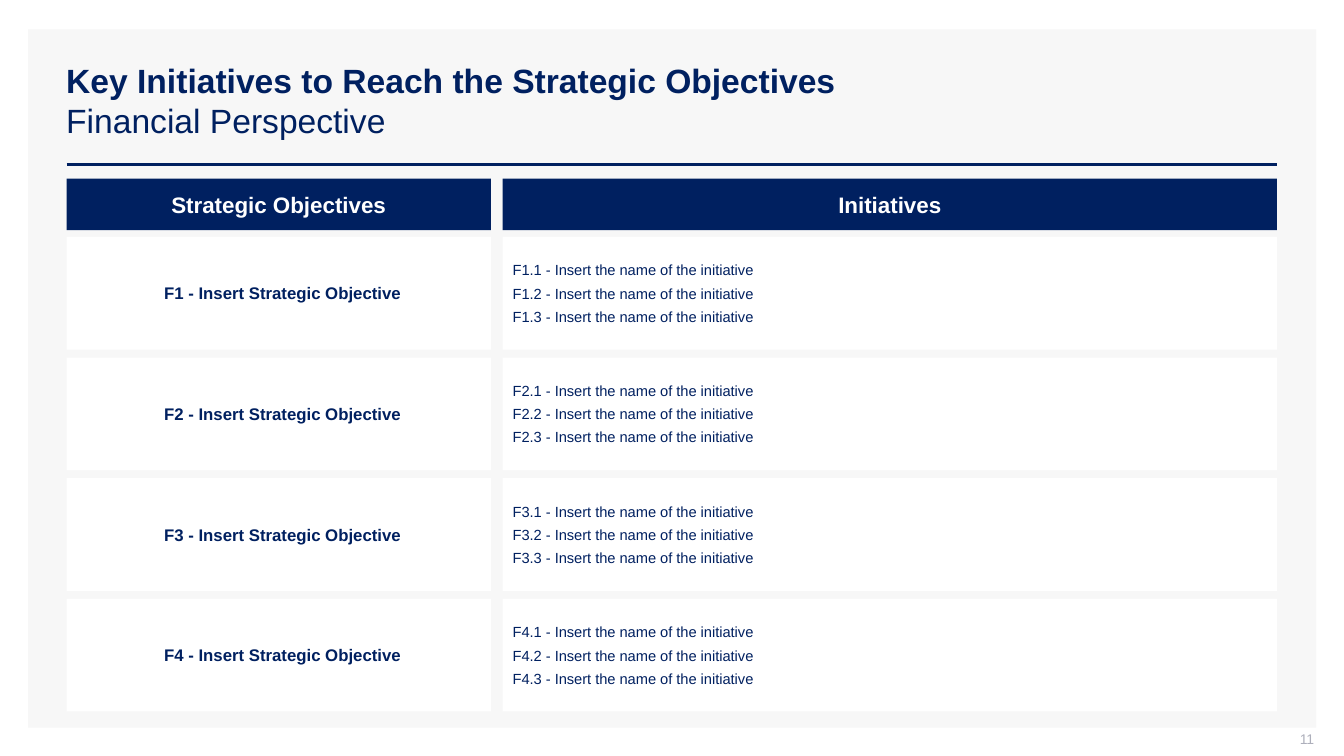
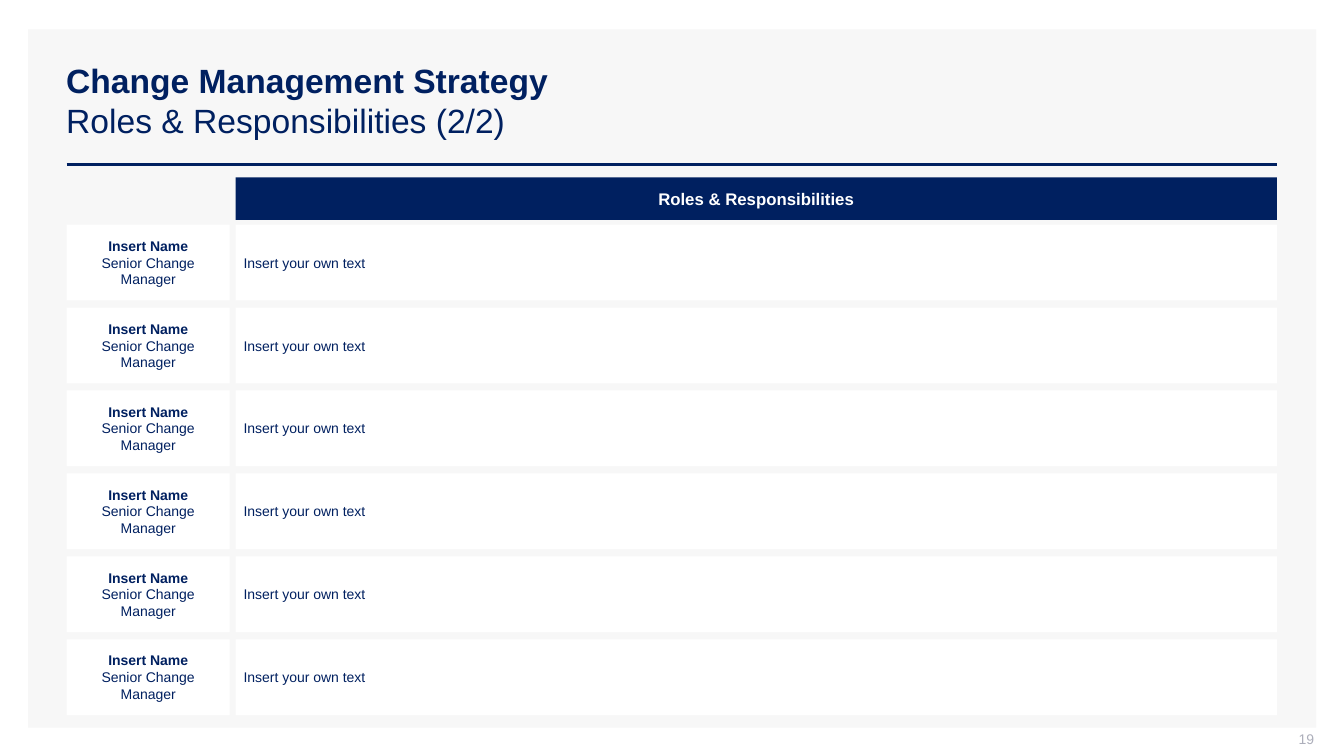
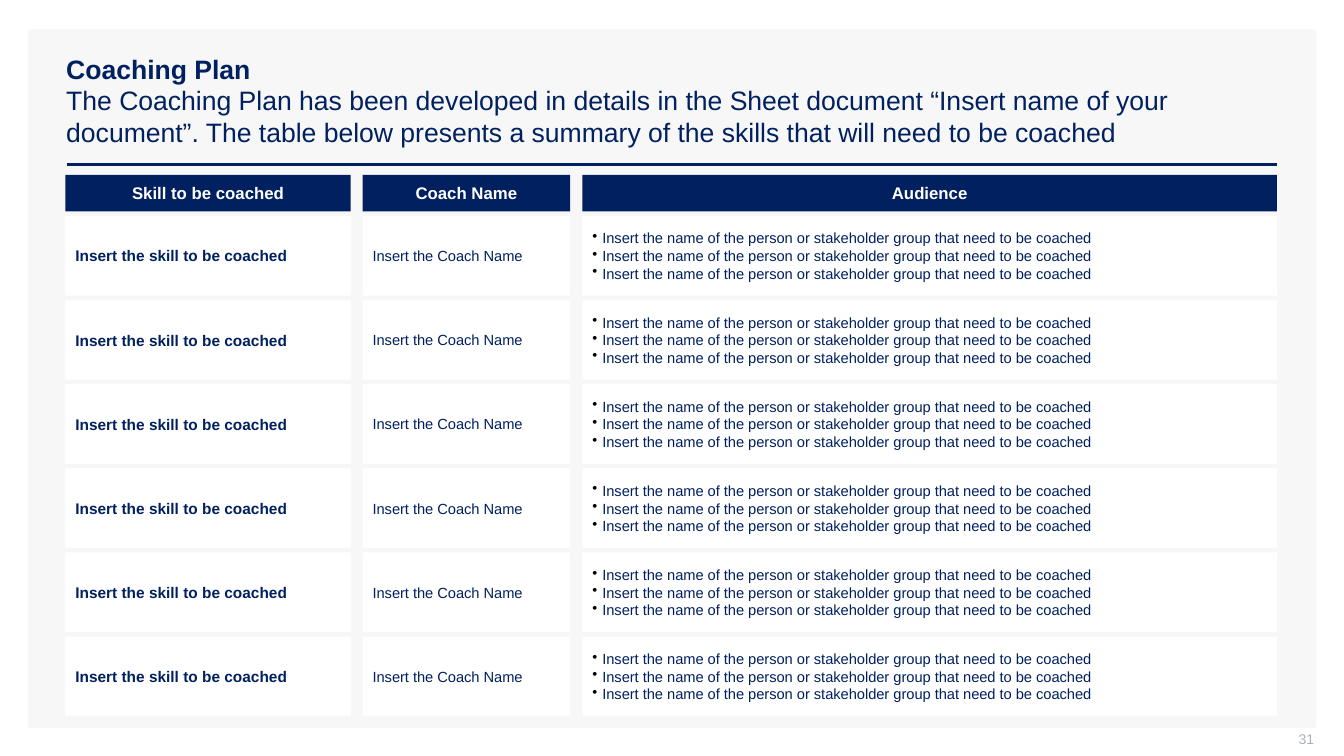
from dataclasses import dataclass

from lxml.etree import SubElement
from pptx import Presentation
from pptx.dml.color import RGBColor
from pptx.enum.shapes import MSO_CONNECTOR, MSO_SHAPE
from pptx.enum.text import MSO_ANCHOR, PP_ALIGN
from pptx.oxml.ns import qn
from pptx.util import Cm, Pt

FONT = "Arial"
COLORS = {
    "navy": "002060",
    "panel": "F7F7F7",
    "white": "FFFFFF",
    "number": "ADAFBB",
    "bullet": "000000",
}
RIGHT = 32.18


@dataclass(frozen=True)
class Box:
    left: float
    top: float
    width: float
    height: float


@dataclass(frozen=True)
class TextStyle:
    size: float
    color: str = "navy"
    bold: bool = False
    align: PP_ALIGN = PP_ALIGN.LEFT
    gap: float = 0
    bullet: bool = False
    lead_bold: bool = False


@dataclass(frozen=True)
class Column:
    left: float
    width: float
    header: str
    style: TextStyle
    cells: list[list[str]]


@dataclass(frozen=True)
class Board:
    title: str
    subtitle: str
    title_size: float
    number: str
    header_top: float
    header_height: float
    header_size: float
    first_row: float
    row_height: float
    pitch: float
    insets: tuple[float, float, float, float]
    columns: list[Column]


def format_run(r, style: TextStyle, bold: bool) -> None:
    r.font.name = FONT
    r.font.size = Pt(style.size)
    r.font.bold = bold
    r.font.color.rgb = RGBColor.from_string(COLORS[style.color])


def set_frame(tf, insets: tuple[float, float, float, float]) -> None:
    tf.word_wrap = True
    tf.vertical_anchor = MSO_ANCHOR.MIDDLE
    tf.margin_left, tf.margin_top, tf.margin_right, tf.margin_bottom = map(Cm, insets)


def add_bullet(p) -> None:
    pPr = p._p.get_or_add_pPr()
    pPr.set("marL", str(Cm(0.25)))
    pPr.set("indent", str(-Cm(0.25)))
    color = SubElement(pPr, qn("a:buClr"))
    SubElement(color, qn("a:srgbClr"), val=COLORS["bullet"])
    SubElement(pPr, qn("a:buChar"), char="•")


def write(tf, lines: list[str], style: TextStyle) -> None:
    tf.text = "\n".join(lines)
    for i, p in enumerate(tf.paragraphs):
        if style.bullet:
            add_bullet(p)
        p.alignment = style.align
        if i and style.gap:
            p.space_before = Pt(style.gap)
        for r in p.runs:
            format_run(r, style, style.bold or (style.lead_bold and i == 0))


def add_rect(s, box: Box, fill: str):
    sp = s.shapes.add_shape(
        MSO_SHAPE.RECTANGLE, Cm(box.left), Cm(box.top), Cm(box.width), Cm(box.height)
    )
    sp.shadow.inherit = False
    sp.fill.solid()
    sp.fill.fore_color.rgb = RGBColor.from_string(COLORS[fill])
    sp.line.fill.background()
    return sp


def add_text_box(s, box: Box, insets: tuple[float, float, float, float]):
    sp = s.shapes.add_textbox(Cm(box.left), Cm(box.top), Cm(box.width), Cm(box.height))
    set_frame(sp.text_frame, insets)
    return sp.text_frame


def add_cell(s, box: Box, fill: str, lines: list[str], style: TextStyle,
             insets: tuple[float, float, float, float]) -> None:
    tf = add_rect(s, box, fill).text_frame
    set_frame(tf, insets)
    write(tf, lines, style)


def add_frame(s, board: Board) -> None:
    add_rect(s, Box(0.71, 0.74, 32.46, 17.6), "panel")
    rule = s.shapes.add_connector(
        MSO_CONNECTOR.STRAIGHT, Cm(1.68), Cm(4.14), Cm(RIGHT), Cm(4.14)
    )
    rule.line.color.rgb = RGBColor.from_string(COLORS["navy"])
    rule.line.width = Pt(2)
    SubElement(rule._element.spPr, qn("a:effectLst"))

    style = TextStyle(board.title_size, bold=True)
    tf = add_text_box(s, Box(1.42, 1.02, 30.76, 3.02), (0.25, 0.13, 0.25, 0.13))
    write(tf, [board.title], style)
    p = tf.paragraphs[0]
    p.add_line_break()
    r = p.add_run()
    r.text = board.subtitle
    format_run(r, style, False)

    tf = add_text_box(s, Box(25.5, 18.42, 7.62, 0.53), (0.25, 0, 0, 0.13))
    write(tf, [board.number], TextStyle(10, "number", align=PP_ALIGN.RIGHT))


def add_board(prs, board: Board) -> None:
    s = prs.slides.add_slide(prs.slide_layouts[6])
    add_frame(s, board)
    header_style = TextStyle(board.header_size, "white", True, PP_ALIGN.CENTER)
    for col in board.columns:
        if col.header:
            box = Box(col.left, board.header_top, col.width, board.header_height)
            add_cell(s, box, "navy", [col.header], header_style, (0.05, 0.05, 0.05, 0.05))
        for i, lines in enumerate(col.cells):
            top = board.first_row + i * board.pitch
            box = Box(col.left, top, col.width, board.row_height)
            add_cell(s, box, "white", lines, col.style, board.insets)


INITIATIVES = Board(
    "Key Initiatives to Reach the Strategic Objectives", "Financial Perspective", 24, "11",
    header_top=4.5, header_height=1.3, header_size=16,
    first_row=5.97, row_height=2.84, pitch=3.04, insets=(0.25, 0.13, 0.05, 0.13),
    columns=[
        Column(1.68, 10.69, "Strategic Objectives",
               TextStyle(12, bold=True, align=PP_ALIGN.CENTER),
               [[f"F{n} - Insert Strategic Objective"] for n in range(1, 5)]),
        Column(12.67, 19.51, "Initiatives", TextStyle(10.5, gap=4),
               [[f"F{n}.{k} - Insert the name of the initiative" for k in range(1, 4)]
                for n in range(1, 5)]),
    ],
)

ROLES = Board(
    "Change Management Strategy", "Roles & Responsibilities (2/2)", 24, "19",
    header_top=4.47, header_height=1.07, header_size=12,
    first_row=5.66, row_height=1.91, pitch=2.09, insets=(0.2, 0.05, 0.2, 0.05),
    columns=[
        Column(1.68, 4.11, "", TextStyle(10, align=PP_ALIGN.CENTER, lead_bold=True),
               [["Insert Name", "Senior Change Manager"]] * 6),
        Column(5.94, 26.24, "Roles & Responsibilities", TextStyle(10),
               [["Insert your own text"]] * 6),
    ],
)

COACHING = Board(
    "Coaching Plan",
    "The Coaching Plan has been developed in details in the Sheet document “Insert name of "
    "your document”. The table below presents a summary of the skills that will need to be "
    "coached",
    19, "31",
    header_top=4.41, header_height=0.92, header_size=12,
    first_row=5.44, row_height=2.01, pitch=2.12, insets=(0.25, 0.13, 0.25, 0.13),
    columns=[
        Column(1.65, 7.19, "Skill to be coached", TextStyle(11, bold=True),
               [["Insert the skill to be coached"]] * 6),
        Column(9.14, 5.23, "Coach Name", TextStyle(10.5), [["Insert the Coach Name"]] * 6),
        Column(14.68, 17.5, "Audience", TextStyle(10.5, bullet=True),
               [["Insert the name of the person or stakeholder group that need to be coached"]
                * 3] * 6),
    ],
)


def main() -> None:
    prs = Presentation()
    prs.slide_width = Cm(33.87)
    prs.slide_height = Cm(19.05)
    for board in (INITIATIVES, ROLES, COACHING):
        add_board(prs, board)
    prs.save("out.pptx")


if __name__ == "__main__":
    main()
